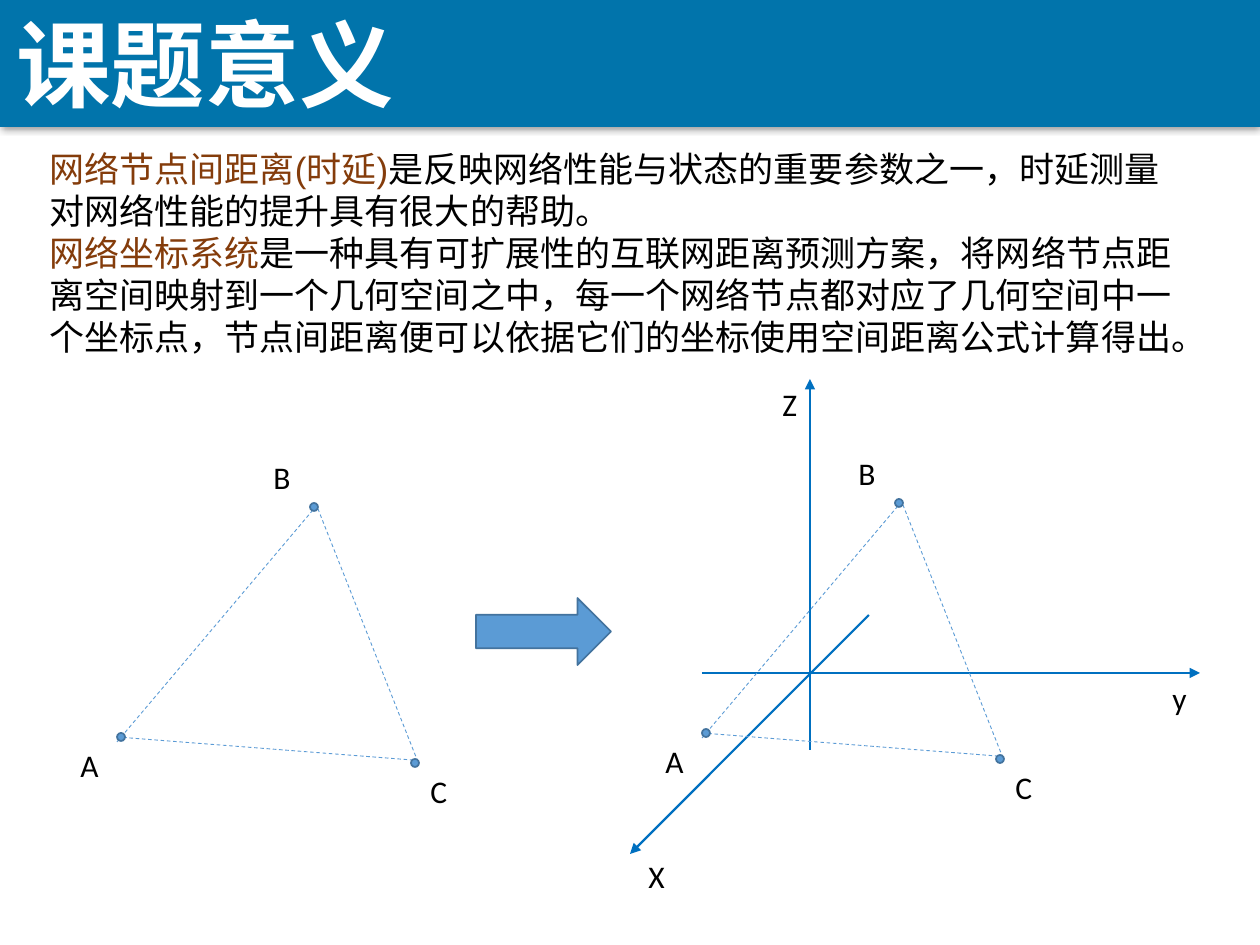
from lxml.etree import SubElement
from pptx import Presentation
from pptx.dml.color import RGBColor
from pptx.enum.dml import MSO_LINE
from pptx.enum.shapes import MSO_CONNECTOR, MSO_SHAPE
from pptx.enum.text import MSO_AUTO_SIZE, PP_ALIGN
from pptx.oxml.ns import qn
from pptx.util import Pt

PX = 914400 / 126
WHITE = RGBColor(0xFF, 0xFF, 0xFF)
BLACK = RGBColor(0, 0, 0)
BANNER = RGBColor(0x01, 0x74, 0xAB)
BROWN = RGBColor(0x84, 0x3C, 0x0B)
BLUE = RGBColor(0x5B, 0x9B, 0xD5)
EDGE = RGBColor(0x43, 0x73, 0x9E)
AXIS = RGBColor(0x00, 0x70, 0xC0)


def emu(*pixels):
    return [round(v * PX) for v in pixels]


class Deck:
    """Draws styled elements on the current slide, measured in pixels."""

    title = {"size": Pt(54), "name": "Calibri", "bold": True}
    body = {"size": Pt(20), "name": "Arial"}
    label = {"size": Pt(18), "name": "Calibri"}

    def __init__(self, width, height):
        self.prs = Presentation()
        self.prs.slide_width, self.prs.slide_height = emu(width, height)
        self.s = self.prs.slides.add_slide(self.prs.slide_layouts[6])
        self.shapes = self.s.shapes

    def start_group(self):
        self.shapes = self.s.shapes.add_group_shape().shapes

    def shape(self, kind, box, fill, edge=None):
        sp = self.shapes.add_shape(kind, *emu(*box))
        sp.shadow.inherit = False
        sp.fill.solid()
        sp.fill.fore_color.rgb = fill
        if edge is None:
            sp.line.fill.background()
        else:
            sp.line.color.rgb = edge
            sp.line.width = Pt(1)
        return sp

    def banner(self, box):
        sp = self.shape(MSO_SHAPE.RECTANGLE, box, BANNER)
        effects = sp._element.spPr.find(qn("a:effectLst"))
        shadow = SubElement(effects, qn("a:outerShdw"), blurRad=str(Pt(4)),
                            dist=str(Pt(1)), dir="5400000", rotWithShape="0")
        color = SubElement(shadow, qn("a:srgbClr"), val="000000")
        SubElement(color, qn("a:alpha"), val="40000")

    def text(self, box, paragraphs, style, wrap=True, align=PP_ALIGN.LEFT):
        tf = self.shapes.add_textbox(*emu(*box)).text_frame
        tf.word_wrap = wrap
        tf.auto_size = MSO_AUTO_SIZE.SHAPE_TO_FIT_TEXT
        for i, runs in enumerate(paragraphs):
            p = tf.add_paragraph() if i else tf.paragraphs[0]
            p.alignment = align
            for words, color in runs:
                r = p.add_run()
                r.text = words
                r.font.color.rgb = color
                for key, value in style.items():
                    setattr(r.font, key, value)

    def name(self, letter, box, wrap=True):
        self.text(box, [[(letter, BLACK)]], self.label, wrap)

    def line(self, ends, color, width):
        c = self.shapes.add_connector(MSO_CONNECTOR.STRAIGHT, *emu(*ends))
        c.line.color.rgb = color
        c.line.width = Pt(width)
        SubElement(c._element.spPr, qn("a:effectLst"))
        return c

    def axis(self, ends):
        c = self.line(ends, AXIS, 1.25)
        SubElement(c.line._get_or_add_ln(), qn("a:tailEnd"), type="triangle")

    def triangle(self, dx, dy):
        for x1, y1, x2, y2 in ((117, 742, 318, 504), (117, 737, 412, 760),
                               (418, 762, 318, 509)):
            ends = (x1 + dx, y1 + dy, x2 + dx, y2 + dy)
            self.line(ends, BLUE, 0.5).line.dash_style = MSO_LINE.DASH
        for letter, x, y, left, top in (("A", 117, 733, 68, 740),
                                        ("B", 310, 503, 261, 452),
                                        ("C", 411, 759, 418, 766)):
            self.shape(MSO_SHAPE.OVAL, (x + dx, y + dy, 8, 8), BLUE, EDGE)
            self.name(letter, (left + dx, top + dy, 49, 50))


deck = Deck(1260, 945)
deck.banner((0, 0, 1260, 127))
deck.text((0, 0, 410, 127), [[("课题意义", WHITE)]], deck.title,
          wrap=False, align=PP_ALIGN.CENTER)
deck.text((37, 141, 1149, 224), [
    [("网络节点间距离(时延)", BROWN),
     ("是反映网络性能与状态的重要参数之一,时延测量对网络性能的提升具有很大的帮助。"
      .replace(",", "\uff0c"), BLACK)],
    [("网络坐标系统", BROWN),
     ("是一种具有可扩展性的互联网距离预测方案,将网络节点距离空间映射到一个几何空间之中,"
      "每一个网络节点都对应了几何空间中一个坐标点,"
      "节点间距离便可以依据它们的坐标使用空间距离公式计算得出。"
      .replace(",", "\uff0c"), BLACK)],
], deck.body)

deck.start_group()
deck.shape(MSO_SHAPE.RIGHT_ARROW, (476, 598, 135, 67), BLUE, EDGE)
deck.triangle(0, 0)
for ends in ((702, 673, 1200, 673), (810, 750, 810, 379), (869, 615, 630, 854)):
    deck.axis(ends)
deck.name("y", (1160, 673, 40, 50), wrap=False)
deck.name("Z", (770, 379, 40, 50), wrap=False)
deck.name("X", (636, 851, 42, 50))
deck.triangle(585, -4)
deck.prs.save("out.pptx")
